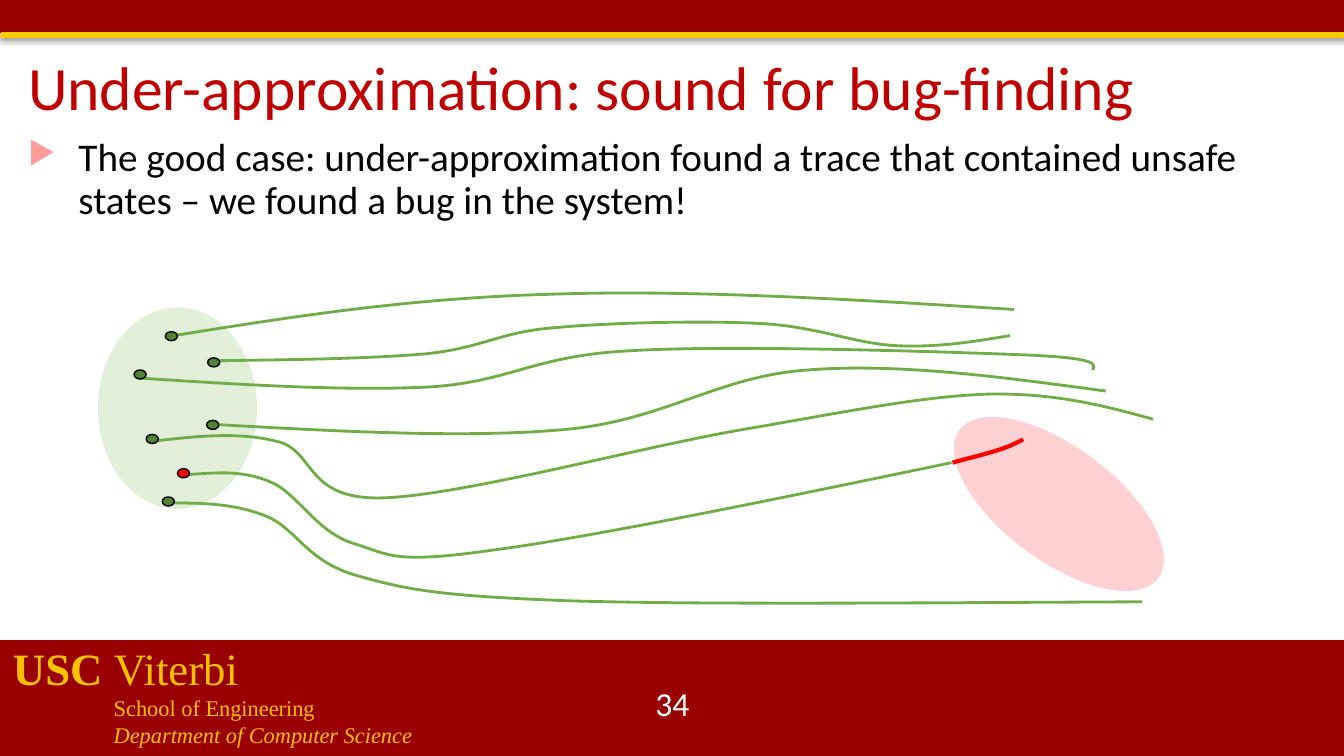
import dataclasses

import lxml.etree
import pptx
import pptx.dml.color
import pptx.enum.shapes
import pptx.enum.text
import pptx.oxml.ns
import pptx.util

# The slide is a grid of square cells, a tenth of an inch each
CELL = pptx.util.Inches(0.1)
COLUMNS, ROWS = 133.33, 75

ANCHOR = pptx.enum.text.MSO_ANCHOR
ALIGN = pptx.enum.text.PP_ALIGN
SHAPE = pptx.enum.shapes.MSO_SHAPE


@dataclasses.dataclass(frozen=True)
class Theme:
    sans: str = "Calibri"
    serif: str = "Times New Roman"
    band: str = "990000"
    stripe: str = "FFCC00"
    gold: str = "FFC000"
    title: str = "C00000"
    text: str = "000000"
    white: str = "FFFFFF"
    bullet: str = "FF9B9B"
    initial: str = "E2F0D9"
    unsafe: str = "FFD1D2"
    trace: str = "70AD47"
    state: str = "548235"
    bug: str = "FF0000"
    title_size: int = 44
    school_size: int = 32
    body_size: int = 28
    number_size: int = 24
    unit_size: int = 16


THEME = Theme()

# Each trace: corner of its start dot, dot colour, then start point and Bézier points
TRACES = [
    ((16.4, 12.9), THEME.state,
     [(16.6, 13.4), (28.4, 11.5), (40.3, 9.6), (54.3, 9.2),
      (68.3, 8.7), (84.5, 9.7), (100.6, 10.7)]),
    ((20.6, 15.5), THEME.state,
     [(21, 15.8), (28.8, 15.7), (36.6, 15.6), (42.3, 15.1),
      (48, 14.5), (49.6, 12.9), (55.2, 12.5),
      (60.7, 12), (69.9, 11.8), (75.5, 12.1),
      (81.1, 12.4), (84.8, 14.1), (88.9, 14.3),
      (93, 14.5), (96.6, 13.9), (100.2, 13.3)]),
    ((13.3, 16.7), THEME.state,
     [(13.7, 17.5), (24.1, 18.2), (34.4, 18.8), (42.5, 18.4),
      (50.7, 17.9), (52.8, 15.3), (62.5, 14.8),
      (72.3, 14.2), (93.6, 14.9), (101.3, 15.2),
      (108.9, 15.5), (108.7, 16.1), (108.4, 16.7)]),
    ((20.5, 21.7), THEME.state,
     [(21.1, 22.1), (33.7, 22.8), (46.3, 23.5), (56.1, 22.6),
      (66, 21.7), (71.2, 17.3), (80.2, 16.7),
      (89.1, 16), (99.4, 17.4), (109.7, 18.8)]),
    ((14.5, 23.1), THEME.state,
     [(15, 23.8), (19.3, 23.3), (23.6, 22.8), (27.5, 23.8),
      (31.3, 24.7), (30.2, 29.6), (37.9, 29.4),
      (45.7, 29.2), (63.8, 24.3), (73.8, 22.6),
      (83.8, 20.9), (91.4, 19.3), (98.2, 19.1),
      (104.9, 19), (109.7, 20.3), (114.4, 21.6)]),
    ((17.6, 26.5), THEME.bug,
     [(18.5, 27.1), (21.3, 26.9), (24, 26.6), (26.8, 27.8),
      (29.5, 28.9), (31.3, 32.7), (35, 33.9),
      (38.7, 35), (38.8, 36), (48.7, 34.6),
      (58.7, 33.3), (76.6, 29.6), (94.4, 25.9)]),
    ((16.1, 29.3), THEME.state,
     [(17.3, 29.9), (20.4, 29.9), (23.4, 30), (26.4, 31.2),
      (29.4, 32.4), (30.4, 35.7), (35.4, 37.1),
      (40.4, 38.5), (43.3, 39.1), (56.3, 39.6),
      (69.3, 40), (91.3, 39.8), (113.3, 39.7)]),
]
UNSAFE_TAIL = [(94.5, 25.9), (96.3, 25.4), (98, 25), (99.2, 24.6),
               (100.4, 24.2), (100.9, 23.9), (101.5, 23.6)]


def cells(*lengths):
    return [round(length * CELL) for length in lengths]


def color(value):
    return pptx.dml.color.RGBColor.from_string(value)


def apply(target, **formats):
    for name, value in formats.items():
        setattr(target, name, value)


def add_child(parent, tag, **attributes):
    return lxml.etree.SubElement(
        parent, pptx.oxml.ns.qn(tag), {key: str(value) for key, value in attributes.items()})


def add_solid(slide, kind, box, fill, outline=None):
    shape = slide.shapes.add_shape(kind, *cells(*box))
    shape.shadow.inherit = False
    shape.fill.solid()
    shape.fill.fore_color.rgb = color(fill)
    if outline:
        shape.line.color.rgb = color(outline)
        shape.line.width = pptx.util.Pt(1)
    else:
        shape.line.fill.background()
    return shape


def add_band(slide, box, fill, opacity=35):
    shape = add_solid(slide, SHAPE.RECTANGLE, box, fill)
    effects = shape._element.spPr.find(pptx.oxml.ns.qn("a:effectLst"))
    shadow = add_child(effects, "a:outerShdw", blurRad=pptx.util.Pt(3.1),
                       dist=pptx.util.Pt(1.8), dir=90 * 60000, rotWithShape=0)
    black = add_child(shadow, "a:srgbClr", val="000000")
    add_child(black, "a:alpha", val=opacity * 1000)


def add_text(slide, box, anchor=ANCHOR.TOP):
    frame = slide.shapes.add_textbox(*cells(*box)).text_frame
    apply(frame, word_wrap=True, vertical_anchor=anchor)
    return frame


def add_run(paragraph, text, fill, size, name=THEME.sans, **formats):
    run = paragraph.add_run()
    run.text = text
    run.font.color.rgb = color(fill)
    apply(run.font, name=name, size=pptx.util.Pt(size), **formats)


def add_curve(slide, box, points, stroke, width):
    """Draw chained cubic Béziers whose points are relative to the box."""
    placed = [cells(box[0] + x, box[1] + y) for x, y in points]
    builder = slide.shapes.build_freeform(*placed[0])
    builder.add_line_segments(placed[3::3], close=False)
    curve = builder.convert_to_shape()
    # Turn each straight segment into a curve by adding its two control points
    segments = list(curve._element.iter(pptx.oxml.ns.qn("a:lnTo")))
    for index, segment in enumerate(segments):
        segment.tag = pptx.oxml.ns.qn("a:cubicBezTo")
        first = 3 * index + 1
        for position, (x, y) in enumerate(placed[first:first + 2]):
            control = add_child(segment, "a:pt", x=x - curve.left, y=y - curve.top)
            segment.insert(position, control)
    curve.shadow.inherit = False
    curve.fill.background()
    curve.line.color.rgb = color(stroke)
    curve.line.width = pptx.util.Pt(width)


def draw_header(slide, box):
    left, top, width, height = box
    add_band(slide, (left, top, width, height - 0.5), THEME.band)
    add_band(slide, (left + 0.1, top + height - 0.6, width, 0.6), THEME.stripe, opacity=38)


def draw_footer(slide, box, number):
    left, top, width, height = box
    add_band(slide, box, THEME.band)
    frame = add_text(slide, (left + 0.3, top - 0.55, 62.5, height + 0.3), ANCHOR.MIDDLE)
    school = frame.paragraphs[0]
    add_run(school, "USC ", THEME.gold, THEME.school_size, THEME.serif, bold=True)
    add_run(school, "Viterbi", THEME.gold, THEME.school_size, THEME.serif)
    for unit, italic in (("School of Engineering", False),
                         ("Department of Computer Science", True)):
        paragraph = frame.add_paragraph()
        paragraph._p.get_or_add_pPr().set("marL", str(10 * CELL))
        add_run(paragraph, unit, THEME.gold, THEME.unit_size, THEME.serif, italic=italic)
    page = add_text(slide, (left + 51.7, top + 4.3, 30, 4), ANCHOR.MIDDLE).paragraphs[0]
    page.alignment = ALIGN.CENTER
    add_run(page, number, THEME.white, THEME.number_size)


def draw_heading(slide, box, title, point):
    left, top, width, height = box
    heading = add_text(slide, (left, top, 119.4, 8.5), ANCHOR.MIDDLE).paragraphs[0]
    heading.line_spacing = 0.9
    add_run(heading, title, THEME.title, THEME.title_size)
    body = add_text(slide, (left, top + 8.5, width, height - 8.5)).paragraphs[0]
    properties = body._p.get_or_add_pPr()
    for name, columns in {"marL": 5, "indent": -5}.items():
        properties.set(name, str(columns * CELL))
    add_child(add_child(properties, "a:buClr"), "a:srgbClr", val=THEME.bullet)
    add_child(properties, "a:buSzPct", val=80000)
    add_child(properties, "a:buChar", char="▶")
    body.line_spacing = 0.9
    add_run(body, point, THEME.text, THEME.body_size)


def draw_traces(slide, box):
    left, top = box[:2]
    # Initial and unsafe sets
    add_solid(slide, SHAPE.OVAL, (left + 9.7, top + 10.5, 15.8, 20), THEME.initial)
    unsafe = add_solid(slide, SHAPE.OVAL, (left + 99.4, top + 17.7, 11.3, 24.6), THEME.unsafe)
    unsafe.rotation = 306.7
    # Traces, then their start states on top
    for _, _, points in TRACES:
        add_curve(slide, box, points, THEME.trace, 2)
    add_curve(slide, box, UNSAFE_TAIL, THEME.bug, 3)
    for (x, y), fill, _ in TRACES:
        add_solid(slide, SHAPE.OVAL, (left + x, top + y, 1.2, 0.9), fill, THEME.text)


def main():
    presentation = pptx.Presentation()
    apply(presentation, slide_width=cells(COLUMNS)[0], slide_height=ROWS * CELL)
    slide = presentation.slides.add_slide(presentation.slide_layouts[6])
    draw_footer(slide, (0, 63.5, COLUMNS, 11.5), "34")
    draw_header(slide, (0, 0, COLUMNS, 3.8))
    draw_traces(slide, (0, 20, COLUMNS, 43.5))
    draw_heading(slide, (1.8, 4.7, 127.9, 19), "Under-approximation: sound for bug-finding",
                 "The good case: under-approximation found a trace that contained unsafe "
                 "states – we found a bug in the system!")
    presentation.save("out.pptx")


if __name__ == "__main__":
    main()
